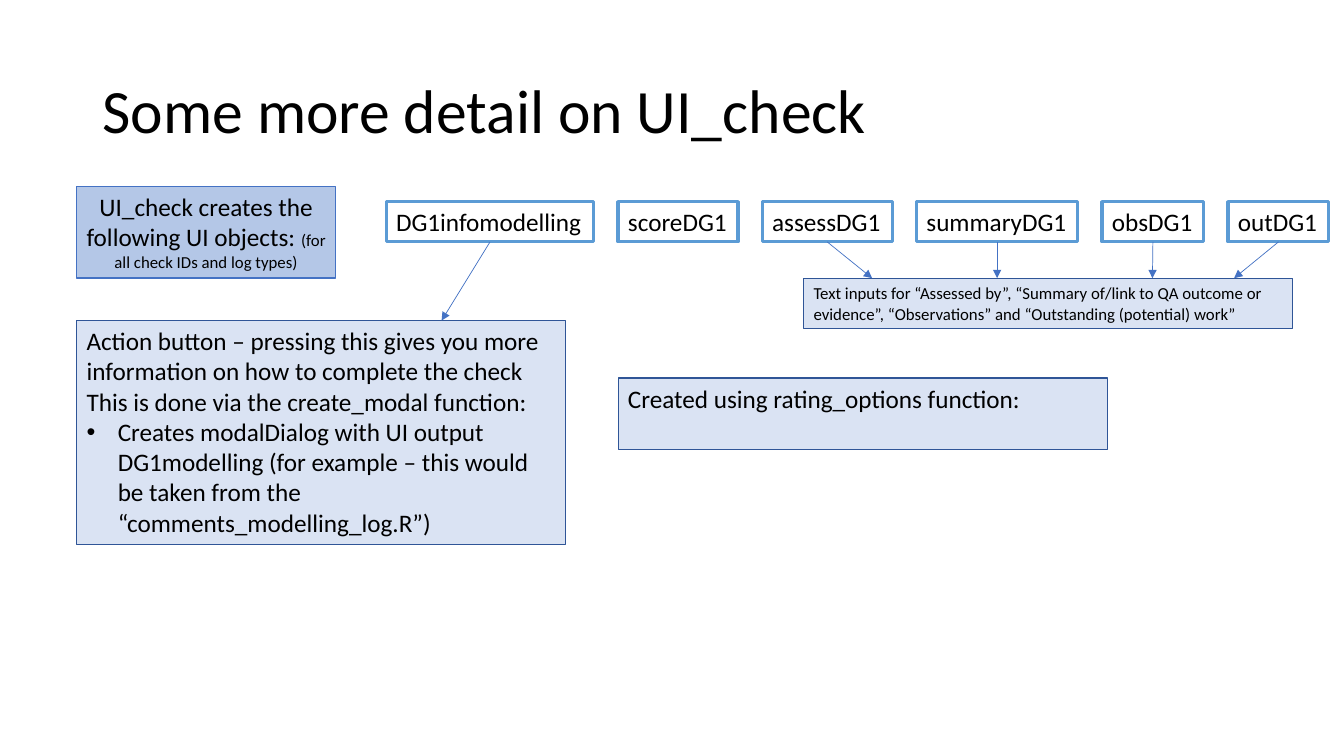
from lxml import etree
from pptx import Presentation
from pptx.dml.color import RGBColor
from pptx.enum import shapes, text
from pptx.oxml import ns
from pptx.util import Inches, Pt

FONT = "Calibri"
BLACK = "000000"
HEADER = ("B4C7E7", "4472C4", 1)  # fill, line, line width
OBJECT = ("FFFFFF", "5B9BD5", 2.25)
NOTE = ("DAE3F3", "2F5597", 0.75)
ROW_TOP, ROW_HEIGHT, ROW_GAP = 2, 0.4, 0.24
NOTE_WIDTH = 4.85


def rgb(value):
    return RGBColor.from_string(value)


def add_run(p, words, size):
    r = p.add_run()
    r.text = words
    r.font.name = FONT
    r.font.size = Pt(size)
    r.font.color.rgb = rgb(BLACK)


def add_title(s, words):
    sp = s.shapes.add_textbox(Inches(0.92), Inches(0.4), Inches(11.5), Inches(1.45))
    tf = sp.text_frame
    tf.word_wrap = True
    tf.vertical_anchor = text.MSO_ANCHOR.MIDDLE
    p = tf.paragraphs[0]
    p.line_spacing = 0.9
    add_run(p, words, 44)


def add_box(s, at, style, paragraphs, align=text.PP_ALIGN.LEFT, wrap=True, grow=True):
    """Each paragraph is a list of (words, size) runs."""
    fill, line, width = style
    sp = s.shapes.add_shape(shapes.MSO_SHAPE.RECTANGLE, *map(Inches, at))
    sp.shadow.inherit = False
    sp.fill.solid()
    sp.fill.fore_color.rgb = rgb(fill)
    sp.line.color.rgb = rgb(line)
    sp.line.width = Pt(width)
    tf = sp.text_frame
    tf.word_wrap = wrap
    fit = text.MSO_AUTO_SIZE
    tf.auto_size = fit.SHAPE_TO_FIT_TEXT if grow else fit.NONE
    tf.vertical_anchor = text.MSO_ANCHOR.TOP
    for i, runs in enumerate(paragraphs):
        p = tf.add_paragraph() if i else tf.paragraphs[0]
        p.alignment = align
        for words, size in runs:
            add_run(p, words, size)
    return sp


def add_bullet(p):
    pPr = p._p.get_or_add_pPr()
    pPr.set("marL", str(Inches(0.31)))
    pPr.set("indent", str(Inches(-0.31)))
    etree.SubElement(pPr, ns.qn("a:buFont")).set("typeface", "Arial")
    etree.SubElement(pPr, ns.qn("a:buChar")).set("char", "•")


def add_arrow(s, source, x, y):
    """Arrow from the bottom of a box to the point x, y."""
    c = s.shapes.add_connector(
        shapes.MSO_CONNECTOR.STRAIGHT, 0, 0, Inches(x), Inches(y))
    c.begin_connect(source, 2)
    c.line.color.rgb = rgb("4472C4")
    c.line.width = Pt(0.5)
    etree.SubElement(c.line._get_or_add_ln(), ns.qn("a:tailEnd")).set("type", "triangle")
    etree.SubElement(c._element.spPr, ns.qn("a:effectLst"))


def main():
    prs = Presentation()
    prs.slide_width, prs.slide_height = Inches(13.33), Inches(7.5)
    s = prs.slides.add_slide(prs.slide_layouts[6])

    # Title and introduction
    add_title(s, "Some more detail on UI_check")
    add_box(s, (0.76, 1.85, 2.57, 0.91), HEADER, [[
        ("UI_check creates the following UI objects: ", 18),
        ("(for all check IDs and log types)", 12),
    ]], align=text.PP_ALIGN.CENTER)

    # Row of UI objects
    objects = {}
    left = 3.83
    for name, width in [("DG1infomodelling", 2.06), ("scoreDG1", 1.19),
                        ("assessDG1", 1.29), ("summaryDG1", 1.6),
                        ("obsDG1", 1.01), ("outDG1", 1)]:
        objects[name] = add_box(s, (left, ROW_TOP, width, ROW_HEIGHT), OBJECT,
                                [[(name, 18)]], wrap=False)
        left += width + ROW_GAP

    # Explanations
    action = add_box(s, (0.76, 3.18, NOTE_WIDTH, 2.22), NOTE, [
        [("Action button – pressing this gives you more information on how to "
          "complete the check", 18)],
        [("This is done via the create_modal function:", 18)],
        [("Creates modalDialog with UI output DG1modelling (for example – this "
          "would be taken from the “comments_modelling_log.R”)", 18)],
    ])
    add_bullet(action.text_frame.paragraphs[-1])
    add_box(s, (6.13, 3.75, NOTE_WIDTH, 0.71), NOTE,
            [[("Created using rating_options function:", 18)]], grow=False)
    add_box(s, (7.97, 2.76, NOTE_WIDTH, 0.5), NOTE, [[
        ("Text inputs for “Assessed by”, “Summary of/link to QA outcome or "
         "evidence”, “Observations” and “Outstanding (potential) work”", 12)]])

    # Arrows from objects to explanations
    for name, x, y in [("DG1infomodelling", 4.38, 3.18), ("assessDG1", 8.65, 2.76),
                       ("summaryDG1", 9.89, 2.76), ("obsDG1", 11.43, 2.76),
                       ("outDG1", 12.24, 2.76)]:
        add_arrow(s, objects[name], x, y)

    prs.save("out.pptx")


if __name__ == "__main__":
    main()
